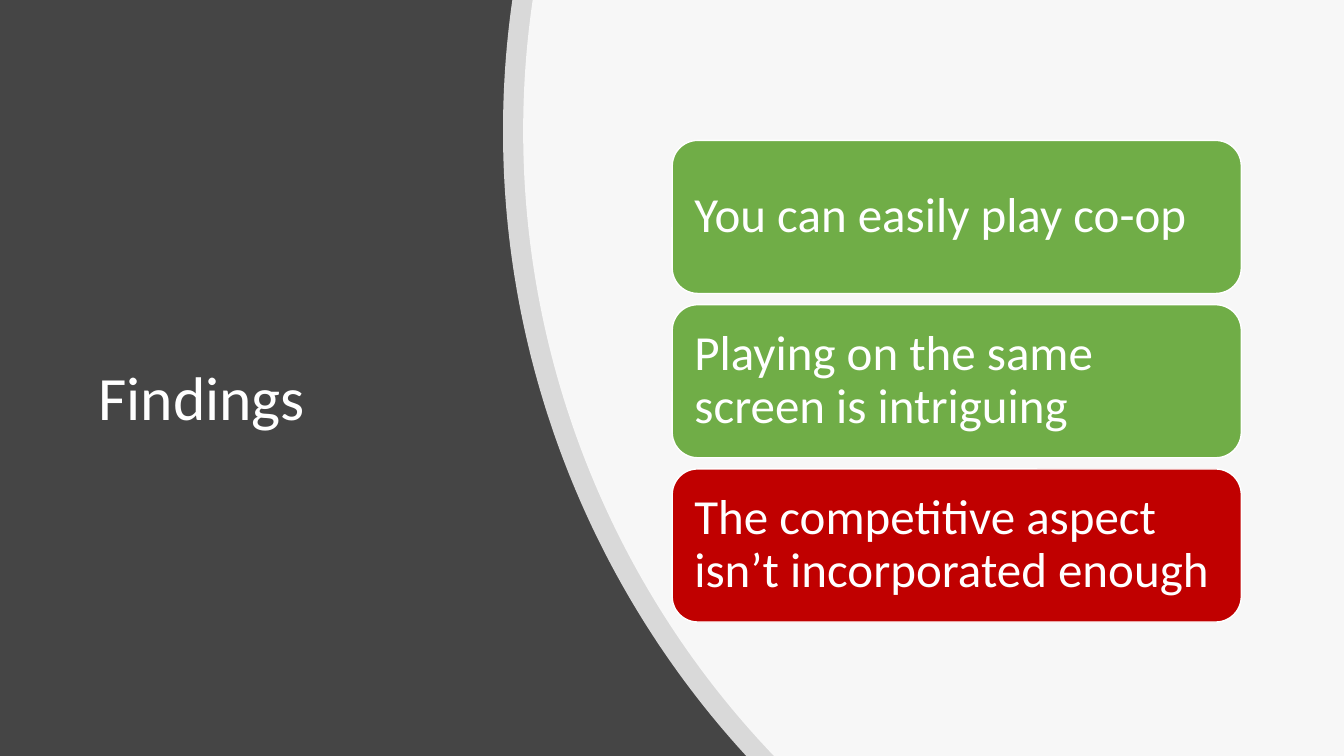
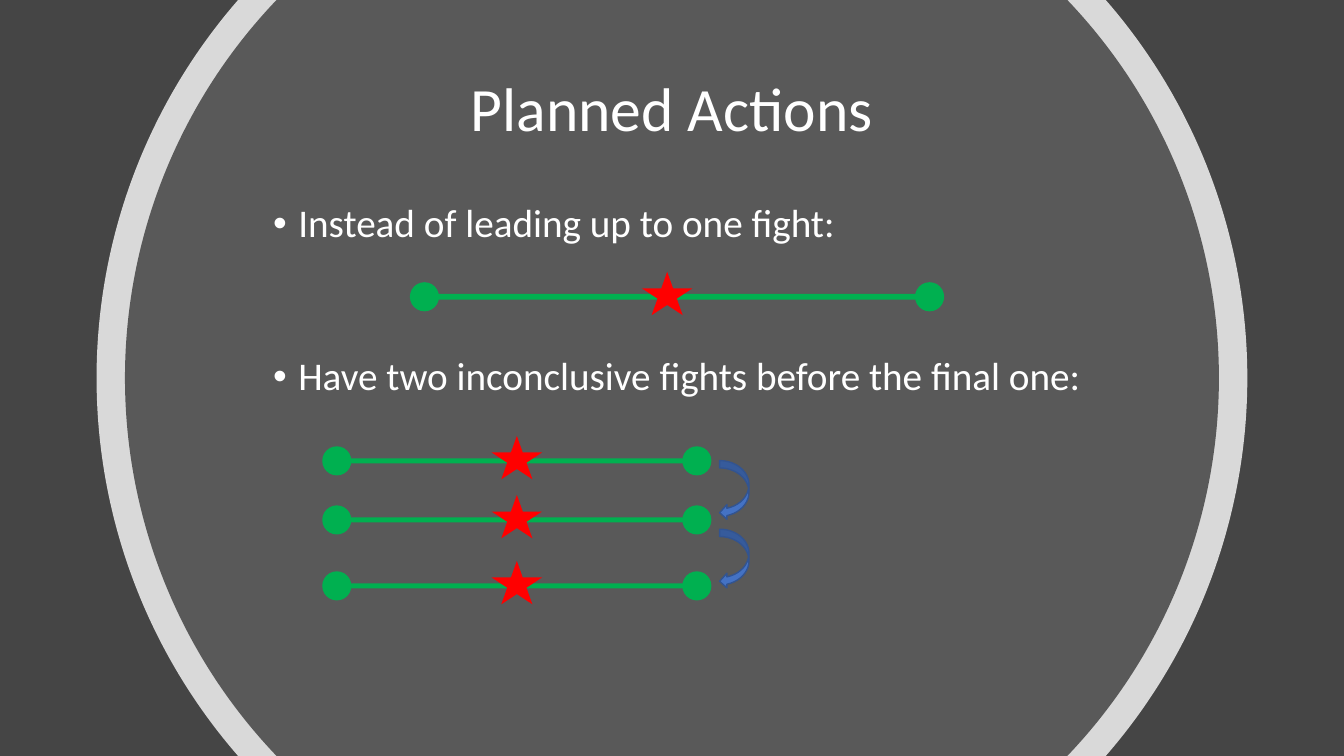
from math import asin, cos, sin, tan

from lxml.etree import SubElement
from pptx import Presentation
from pptx.dml.color import RGBColor
from pptx.enum.shapes import MSO_SHAPE
from pptx.enum.text import MSO_ANCHOR, PP_ALIGN
from pptx.oxml.ns import qn
from pptx.util import Pt

CARD, DOT, BAR = MSO_SHAPE.ROUNDED_RECTANGLE, MSO_SHAPE.OVAL, MSO_SHAPE.RECTANGLE
STAR, HOOK = MSO_SHAPE.STAR_5_POINT, MSO_SHAPE.CURVED_LEFT_ARROW
TOP, MIDDLE = MSO_ANCHOR.TOP, MSO_ANCHOR.MIDDLE
LEFT, CENTER = PP_ALIGN.LEFT, PP_ALIGN.CENTER

WIDE, HIGH = 960, 540
FONT = "Calibri"
WHITE, DARK, GRAY = "FFFFFF", "454545", "595959"
LEAF, WINE, GREEN, RED = "70AD47", "C00000", "00B050", "FF0000"
BLUE, NAVY = "4472C4", "325491"
TITLE, CARD_SIZE, BODY = 44, 35, 28


def rgb(code):
    """Turn a hex string into a colour."""
    return RGBColor.from_string(code)


def assign(obj, **values):
    """Set each given attribute on an object."""
    for name, value in values.items():
        setattr(obj, name, value)


def paint(shape, fill, line=None, alpha=None):
    """Give a shape its fill, outline and opacity in percent."""
    shape.shadow.inherit = False
    shape.fill.solid()
    shape.fill.fore_color.rgb = rgb(fill)
    if alpha:
        color = shape.fill._xPr.find(".//" + qn("a:srgbClr"))
        SubElement(color, qn("a:alpha"), val=str(alpha * 1000))
    if line:
        shape.line.color.rgb = rgb(line)
        shape.line.width = Pt(1)
    else:
        shape.line.fill.background()


def draw(slide, kind, box, fill, line=None):
    """Add a painted preset shape in a box."""
    shape = slide.shapes.add_shape(kind, *map(Pt, box))
    paint(shape, fill, line)
    return shape


def write(shape, text, size, align=LEFT, anchor=MIDDLE, inset=7.2, bullet=False):
    """Put one white paragraph in a shape."""
    frame = shape.text_frame
    assign(frame, word_wrap=True, vertical_anchor=anchor,
           margin_left=Pt(inset), margin_right=Pt(inset))
    para = frame.paragraphs[0]
    para.text = text
    assign(para, alignment=align, line_spacing=0.9)
    if bullet:
        props = para._p.get_or_add_pPr()
        props.set("marL", str(Pt(18)))
        props.set("indent", str(-Pt(18)))
        SubElement(props, qn("a:buFont"), typeface="Arial")
        SubElement(props, qn("a:buChar"), char="•")
    font = para.runs[0].font
    assign(font, name=FONT, size=Pt(size))
    font.color.rgb = rgb(WHITE)


def label(slide, box, text, size, **style):
    """Add a text box."""
    write(slide.shapes.add_textbox(*map(Pt, box)), text, size, **style)


def arc(mid, top, size):
    """List the curve points of a circle's left side, down the slide."""
    turns = (asin(-top / size), 0, asin((HIGH - top) / size))
    spots = [(mid - size * cos(turns[0]), 0)]
    for a, b in zip(turns, turns[1:]):
        pull = size * 4 / 3 * tan((b - a) / 4)
        x, y = spots[-1]
        end = (mid - size * cos(b), top + size * sin(b))
        spots += [(x + pull * sin(a), y + pull * cos(a)),
                  (end[0] - pull * sin(b), end[1] - pull * cos(b)), end]
    return spots


def disc(slide, mid, top, size, fill, alpha=None):
    """Draw a circle cut off at the slide edges."""
    west = arc(mid, top, size)
    east = [(2 * mid - x, y) for x, y in west[::-1]]
    if mid + size > WIDE:
        east = [(WIDE, HIGH), (WIDE, 0)]
    spots = [(Pt(x), Pt(y)) for x, y in west + east]
    pen = slide.shapes.build_freeform(*spots[0], scale=1.0)
    pen.add_line_segments(spots[1:], close=True)
    shape = pen.convert_to_shape()
    bend(shape)
    paint(shape, fill, alpha=alpha)


def bend(shape):
    """Join the line triples on each round side into curves."""
    lines = list(shape._element.iter(qn("a:lnTo")))
    for i in (0, 3, 7, 10):
        trio = lines[i:i + 3]
        if len(trio) == 3:
            curve = SubElement(trio[0].getparent(), qn("a:cubicBezTo"))
            trio[0].addprevious(curve)
            for line in trio:
                curve.append(line[0])
                line.getparent().remove(line)


def cards(slide, box, items, gap=8):
    """Stack equal cards in a box."""
    x, y, w, h = box
    tall = (h - gap * (len(items) - 1)) / len(items)
    for i, (text, fill) in enumerate(items):
        spot = (x, y + i * (tall + gap), w, tall)
        write(draw(slide, CARD, spot, fill, WHITE), text, CARD_SIZE, inset=10.5)


def track(slide, x, y, w, shift=0, bar=3.6):
    """Draw a line between two dots, with a star near its middle at height y."""
    dot, wide, tall = 20.8, 36, 31
    draw(slide, DOT, (x, y - dot / 2, dot, dot), GREEN)
    draw(slide, BAR, (x + 16, y - bar / 2, w - 32, bar), GREEN)
    draw(slide, DOT, (x + w - dot, y - dot / 2, dot, dot), GREEN)
    left = x + (w - wide) / 2 + shift
    draw(slide, STAR, (left, y - tall / 2 - 2.3, wide, tall), RED)


def start(deck):
    """Add a blank dark slide."""
    slide = deck.slides.add_slide(deck.slide_layouts[6])
    slide.background.fill.solid()
    slide.background.fill.fore_color.rgb = rgb(DARK)
    return slide


def findings(deck):
    """Build the slide of findings."""
    slide = start(deck)
    label(slide, (63.2, 109.6, 282, 353), "Findings", TITLE)
    for size in (660.2, 645.8):
        disc(slide, 1019.5, 93.6, size, WHITE, 80)
    cards(slide, (480.2, 100.3, 406.5, 344), [
        ("You can easily play co-op", LEAF),
        ("Playing on the same screen is intriguing", LEAF),
        ("The competitive aspect isn’t incorporated enough", WINE)])


def actions(deck):
    """Build the slide of planned actions."""
    slide = start(deck)
    disc(slide, WIDE / 2, HIGH / 2, 411, WHITE, 80)
    disc(slide, WIDE / 2, HIGH / 2, 390.7, GRAY)
    label(slide, (182, 29, 596, 101.5), "Planned Actions", TITLE, align=CENTER)
    for y, text in ((142, "Instead of leading up to one fight:"),
                    (251.3, "Have two inconclusive fights before the final one:")):
        label(slide, (188, y, 640, 48), text, BODY, anchor=TOP, bullet=True)
    track(slide, 292.8, 212, 381.6, -7, 4.2)
    for y in (329.2, 371.4, 418.5):
        track(slide, 230.2, y, 278)
    for y in (378, 329):
        draw(slide, HOOK, (514, y, 21, 42.5), BLUE, NAVY)


def main():
    """Build and save the deck."""
    deck = Presentation()
    assign(deck, slide_width=Pt(WIDE), slide_height=Pt(HIGH))
    findings(deck)
    actions(deck)
    deck.save("out.pptx")


if __name__ == "__main__":
    main()
